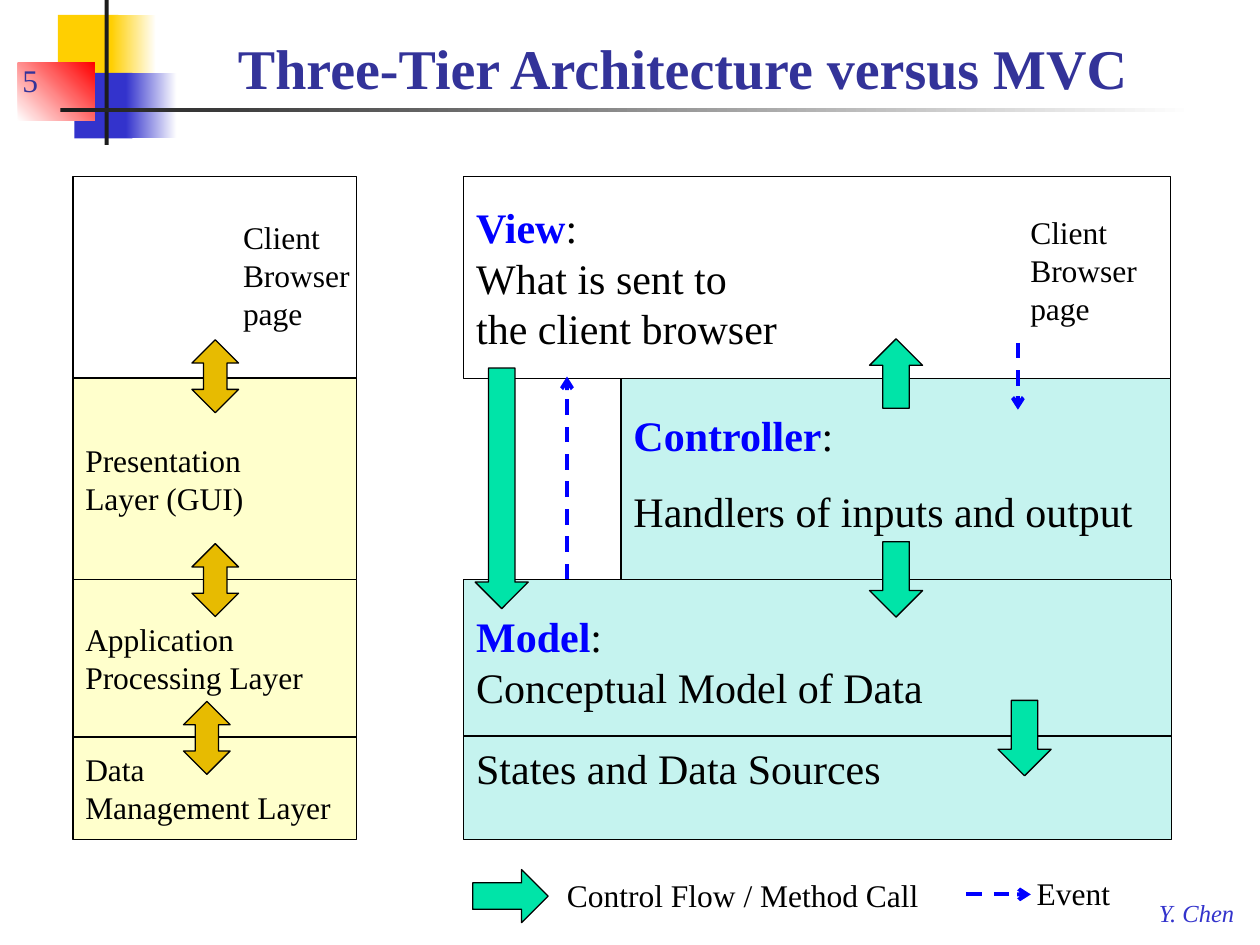
from lxml.etree import SubElement
from pptx import Presentation
from pptx.dml.color import RGBColor
from pptx.enum.dml import MSO_LINE
from pptx.enum.shapes import MSO_CONNECTOR, MSO_SHAPE
from pptx.enum.text import MSO_ANCHOR, PP_ALIGN
from pptx.oxml.ns import qn
from pptx.util import Cm, Pt

COLORS = {
    "white": "FFFFFF", "black": "000000", "ink": "1C1C1C", "gold": "FFCF01",
    "royal": "3333CC", "red": "FF0000", "title": "333399", "cream": "FFFFCC",
    "aqua": "C5F3EF", "amber": "E7BB01", "green": "00E4A8", "blue": "0000FF",
}


def rgb(name):
    return RGBColor.from_string(COLORS[name])


def write(shape, lines, size, color="black", bold=False, italic=False,
          anchor=MSO_ANCHOR.TOP, align=PP_ALIGN.LEFT, wrap=True):
    frame = shape.text_frame
    frame.word_wrap = wrap
    frame.vertical_anchor = anchor
    for index, line in enumerate(lines):
        paragraph = frame.add_paragraph() if index else frame.paragraphs[0]
        paragraph.alignment = align
        for text, run_color, run_bold in (
            [(line, color, bold)] if isinstance(line, str) else line
        ):
            run = paragraph.add_run()
            run.text = text
            run.font.name = "Times New Roman"
            run.font.size = Pt(size)
            run.font.bold = run_bold
            run.font.italic = italic
            run.font.color.rgb = rgb(run_color)
    return frame


def label(slide, left, top, width, height, text, size=18, **style):
    box = slide.shapes.add_textbox(Cm(left), Cm(top), Cm(width), Cm(height))
    write(box, [text], size, **style)


def block(slide, left, top, width, height, fill, preset=MSO_SHAPE.RECTANGLE,
          outlined=True):
    shape = slide.shapes.add_shape(preset, Cm(left), Cm(top), Cm(width), Cm(height))
    shape.shadow.inherit = False
    shape.fill.solid()
    shape.fill.fore_color.rgb = rgb(fill)
    if outlined:
        shape.line.color.rgb = rgb("black")
        shape.line.width = Pt(0.75)
    else:
        shape.line.fill.background()
    return shape


def fade(slide, left, top, width, height, start, end, angle=0):
    shape = block(slide, left, top, width, height, start, outlined=False)
    shape.fill.gradient()
    shape.fill.gradient_angle = angle
    for stop, color in zip(shape.fill.gradient_stops, (start, end)):
        stop.color.rgb = rgb(color)


def event_arrow(slide, x1, y1, x2, y2):
    line = slide.shapes.add_connector(
        MSO_CONNECTOR.STRAIGHT, Cm(x1), Cm(y1), Cm(x2), Cm(y2))
    line.line.color.rgb = rgb("blue")
    line.line.width = Pt(2.25)
    line.line.dash_style = MSO_LINE.DASH
    SubElement(line.line._get_or_add_ln(), qn("a:tailEnd"), type="arrow")
    SubElement(line._element.spPr, qn("a:effectLst"))


def heading(left_term):
    return [(left_term, "blue", True), (":", "black", False)]


def draw_header(slide, x, y, width):
    for left, top, solid_width, fade_left, fade_width, color in (
        (1.17, 0.3, 1.22, 2.24, 0.91, "gold"),
        (1.5, 1.47, 1.17, 2.54, 1.02, "royal"),
    ):
        block(slide, x + left, y + top, solid_width, 1.32, color, outlined=False)
        fade(slide, x + fade_left, y + top, fade_width, 1.32, color, "white")
    fade(slide, x + 0.36, y + 1.27, 1.55, 1.17, "white", "red", 45)
    block(slide, x + 2.11, y, 0.08, 2.92, "ink", outlined=False)
    fade(slide, x + 1.22, y + 2.18, width - 2.54, 0.08, "ink", "white")
    label(slide, x + 2.34, y + 0.43, width - 2.54, 1.73,
          "Three-Tier Architecture versus MVC", 32, color="title", bold=True,
          anchor=MSO_ANCHOR.BOTTOM, align=PP_ALIGN.CENTER)
    label(slide, x + 0.2, y + 0.84, 1.9, 1.27, "5", color="title",
          anchor=MSO_ANCHOR.BOTTOM)


def draw_three_tier(slide, x, y, width):
    top = y
    for height, fill, lines in (
        (4.06, "white", []),
        (4.06, "cream", ["Presentation", "Layer (GUI)"]),
        (3.18, "cream", ["Application", "Processing Layer"]),
        (2.06, "cream", ["Data", "Management Layer"]),
    ):
        tier = block(slide, x, top, width, height, fill)
        write(tier, lines, 18, anchor=MSO_ANCHOR.MIDDLE)
        top += height
    label(slide, x + 3.18, y + 0.71, 2.74, 2.57, "Client Browser page")
    for left, arrow_top in ((2.4, 3.29), (2.4, 7.4), (2.23, 10.58)):
        block(slide, x + left, y + arrow_top, 0.94, 1.47, "amber",
              MSO_SHAPE.UP_DOWN_ARROW)


def draw_mvc(slide, x, y, width):
    controller = block(slide, x + 3.17, y + 4.07, width - 3.17, 4.06, "aqua")
    frame = write(controller,
                  [heading("Controller"), "Handlers of inputs and output"], 24)
    for paragraph in frame.paragraphs:
        paragraph.line_spacing = 1.5

    model = block(slide, x, y + 8.12, width + 0.02, 3.18, "aqua")
    frame = write(model, [heading("Model"), "Conceptual Model of Data"], 24)
    frame.paragraphs[0].line_spacing = 1.5

    view = block(slide, x, y, width, 4.07, "white")
    write(view, [heading("View"), "What is sent to", "the client browser"], 24,
          anchor=MSO_ANCHOR.MIDDLE)

    states = block(slide, x, y + 11.28, width + 0.02, 2.08, "aqua")
    write(states, ["States and Data Sources"], 24)

    label(slide, x + 11.17, y + 0.61, 2.74, 2.57, "Client Browser page")
    for left, top, height, preset in (
        (0.23, 3.86, 4.85, MSO_SHAPE.DOWN_ARROW),
        (8.18, 3.27, 1.4, MSO_SHAPE.UP_ARROW),
        (8.18, 7.36, 1.52, MSO_SHAPE.DOWN_ARROW),
        (10.77, 10.56, 1.52, MSO_SHAPE.DOWN_ARROW),
    ):
        block(slide, x + left, y + top, 1.07, height, "green", preset)
    for left, start, end in ((2.08, 8.12, 4.03), (11.17, 3.35, 4.7)):
        event_arrow(slide, x + left, y + start, x + left, y + end)


def draw_legend(slide, x, y):
    block(slide, x + 0.18, y, 1.52, 1.07, "green", MSO_SHAPE.RIGHT_ARROW)
    label(slide, x + 1.83, y, 7.67, 1.02, "Control Flow / Method Call", wrap=False)
    event_arrow(slide, x + 10.13, y + 0.5, x + 11.43, y + 0.5)
    label(slide, x + 11.3, y - 0.03, 2.01, 1.02, "Event", wrap=False)


def main():
    deck = Presentation()
    deck.slide_width = Cm(25.4)
    deck.slide_height = Cm(19.05)
    slide = deck.slides.add_slide(deck.slide_layouts[6])
    draw_header(slide, 0, 0, 25.4)
    draw_three_tier(slide, 1.47, 3.56, 5.72)
    draw_mvc(slide, 9.35, 3.56, 14.25)
    draw_legend(slide, 9.35, 17.53)
    label(slide, 23.11, 17.98, 2.08, 0.84, "Y. Chen", 14, color="royal",
          italic=True, wrap=False)
    deck.save("out.pptx")


if __name__ == "__main__":
    main()
